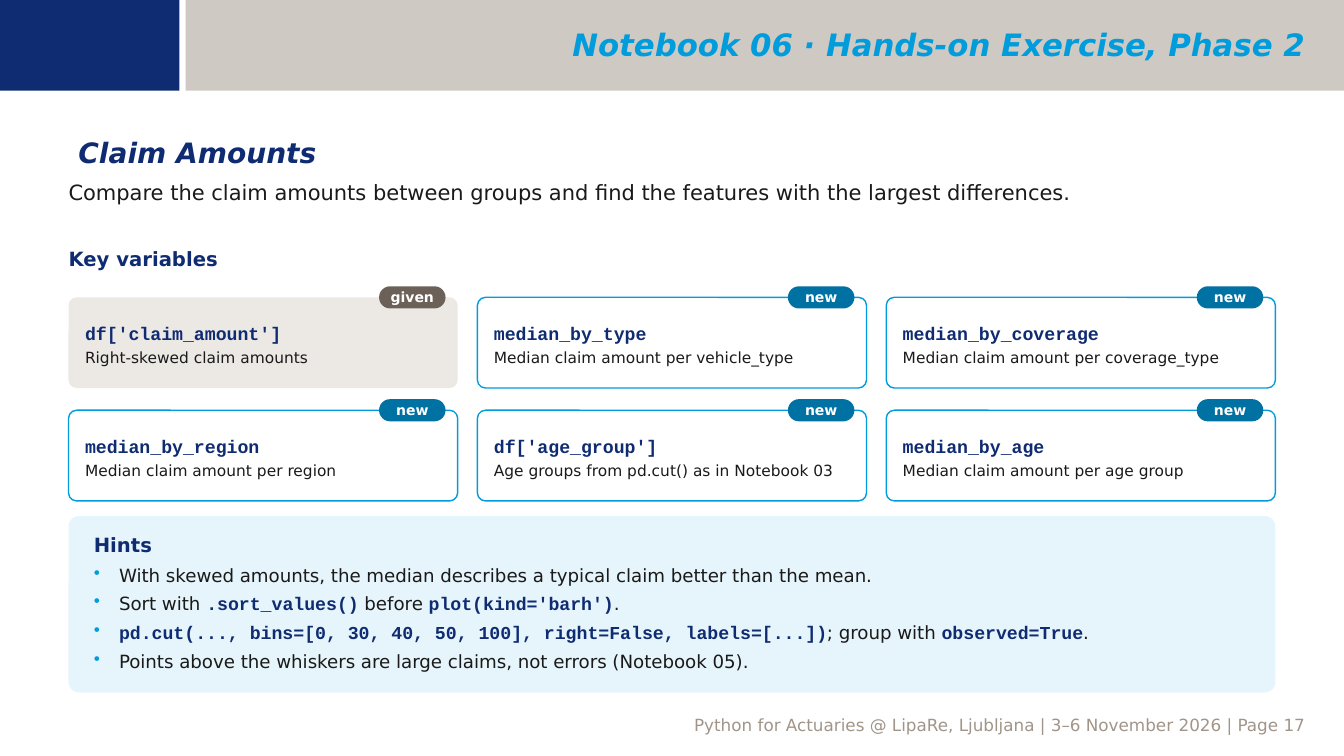
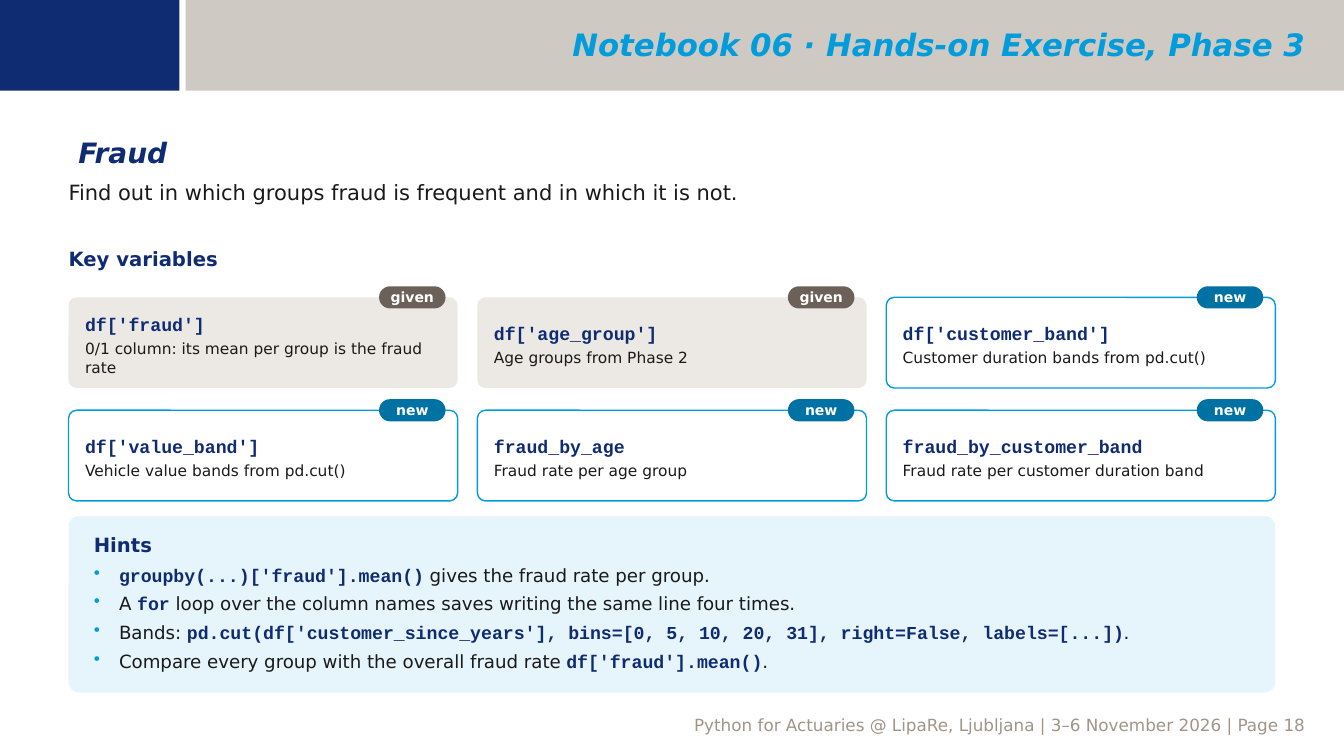
from lxml.etree import SubElement
from pptx import Presentation
from pptx.dml.color import RGBColor
from pptx.enum.shapes import MSO_SHAPE as Shape
from pptx.enum.text import MSO_ANCHOR as Anchor, PP_ALIGN as Align
from pptx.oxml.ns import qn
from pptx.util import Inches, Pt

SANS, MONO = "DejaVu Sans", "Courier New"
NAVY, CORNER, CYAN, TEAL = "0F2B72", "0F2C73", "009CDB", "0071A3"
INK, STONE, BROWN, SAND = "1A1A1A", "A19589", "6B6158", "ECE9E5"
ICE, WHITE = "E6F5FB", "FFFFFF"

LEFT, WIDTH = 0.68, 11.97
COLUMNS, CARD_WIDTH, CARD_HEIGHT = 3, 3.86, 0.9
CARD_TOP, ROW_STEP = 2.95, 1.12
COLUMN_STEP = (WIDTH - CARD_WIDTH) / (COLUMNS - 1)
BADGE_WIDTH, BADGE_HEIGHT, BADGE_INSET = 0.66, 0.22, 0.12
FOOTER = "Python for Actuaries @ LipaRe, Ljubljana | 3–6 November 2026 | Page {}"


def color(value):
    return RGBColor.from_string(value)


def add_text(paragraph, text, size=13, font=SANS, fill=INK, bold=False,
             italic=False, align=None, before=None):
    """Append a run to the paragraph and format both."""
    run = paragraph.add_run()
    run.text = text
    run.font.name, run.font.size = font, Pt(size)
    run.font.bold, run.font.italic = bold, italic
    run.font.color.rgb = color(fill)
    if align is not None:
        paragraph.alignment = align
    if before is not None:
        paragraph.space_before = Pt(before)


def add_bullet(paragraph, fill=CYAN, indent=0.25):
    properties = paragraph._p.get_or_add_pPr()
    properties.set("marL", str(Inches(indent)))
    properties.set("indent", str(Inches(-indent)))
    bullet_color = SubElement(properties, qn("a:buClr"))
    SubElement(bullet_color, qn("a:srgbClr"), val=fill)
    SubElement(properties, qn("a:buChar"), char="•")


class Deck:
    def __init__(self):
        self.presentation = Presentation()
        self.presentation.slide_width = Inches(13.33)
        self.presentation.slide_height = Inches(7.5)
        self.slide = None

    def new_slide(self, title, page):
        layout = self.presentation.slide_layouts[6]
        self.slide = self.presentation.slides.add_slide(layout)
        # Footer and header bands
        self.text((0.76, 7.05, 12.29, 0.09), FOOTER.format(page), insets=None,
                  size=12, fill=STONE, align=Align.RIGHT)
        band = self.shape((1.84, 0, 11.49, 0.9), STONE)
        band_color = band.fill._xPr.find(qn("a:solidFill"))[0]
        SubElement(band_color, qn("a:alpha"), val="50000")
        self.shape((0, 0, 1.78, 0.9), CORNER)
        # Title
        self.text((2.02, 0.02, 11.02, 0.84), title, insets=None,
                  anchor=Anchor.MIDDLE, size=22, fill=CYAN, bold=True,
                  italic=True, align=Align.RIGHT)

    def frame(self, shape, insets=(0, 0, 0, 0), anchor=Anchor.TOP):
        """Prepare a text frame; insets of None keep the usual margins."""
        frame = shape.text_frame
        frame.word_wrap = True
        frame.vertical_anchor = anchor
        if insets is not None:
            (frame.margin_left, frame.margin_top, frame.margin_right,
             frame.margin_bottom) = map(Inches, insets)
        frame.paragraphs[0].alignment = Align.LEFT
        return frame

    def text(self, box, text, insets=(0, 0, 0, 0), anchor=Anchor.TOP, **style):
        shape = self.slide.shapes.add_textbox(*map(Inches, box))
        frame = self.frame(shape, insets, anchor)
        add_text(frame.paragraphs[0], text, **style)

    def shape(self, box, fill, line=None, corner=None):
        kind = Shape.RECTANGLE if corner is None else Shape.ROUNDED_RECTANGLE
        shape = self.slide.shapes.add_shape(kind, *map(Inches, box))
        if corner is not None:
            shape.adjustments[0] = corner
        shape.shadow.inherit = False
        shape.fill.solid()
        shape.fill.fore_color.rgb = color(fill)
        if line:
            shape.line.color.rgb = color(line)
            shape.line.width = Pt(1)
        else:
            shape.line.fill.background()
        return shape

    def card(self, left, top, name, description, given):
        card = self.shape((left, top, CARD_WIDTH, CARD_HEIGHT),
                          SAND if given else WHITE,
                          line=None if given else CYAN, corner=0.09)
        frame = self.frame(card, (0.14, 0.1, 0.14, 0.06), Anchor.MIDDLE)
        add_text(frame.paragraphs[0], name, font=MONO, fill=NAVY, bold=True)
        paragraph = frame.add_paragraph()
        add_text(paragraph, description, size=11, align=Align.LEFT, before=3)
        # Badge on the top edge
        badge_left = left + CARD_WIDTH - BADGE_INSET - BADGE_WIDTH
        badge = self.shape((badge_left, top - BADGE_HEIGHT / 2,
                            BADGE_WIDTH, BADGE_HEIGHT),
                           BROWN if given else TEAL, corner=0.5)
        frame = self.frame(badge, anchor=Anchor.MIDDLE)
        add_text(frame.paragraphs[0], "given" if given else "new", size=10,
                 fill=WHITE, bold=True, align=Align.CENTER)

    def cards(self, variables, given_count):
        for index, (name, description) in enumerate(variables):
            row, column = divmod(index, COLUMNS)
            self.card(LEFT + column * COLUMN_STEP, CARD_TOP + row * ROW_STEP,
                      name, description, given=index < given_count)

    def hints(self, lines):
        """Draw the hints panel; backticks in a line enclose code."""
        panel = self.shape((LEFT, 5.12, WIDTH, 1.75), ICE, corner=0.06)
        frame = self.frame(panel, (0.22, 0.14, 0.22, 0.1))
        add_text(frame.paragraphs[0], "Hints", size=14, fill=NAVY, bold=True)
        for line in lines:
            paragraph = frame.add_paragraph()
            paragraph.alignment = Align.LEFT
            paragraph.space_before = Pt(5)
            add_bullet(paragraph)
            for index, part in enumerate(line.split("`")):
                if not part:
                    continue
                if index % 2:
                    add_text(paragraph, part, font=MONO, fill=NAVY, bold=True)
                else:
                    add_text(paragraph, part)

    def exercise(self, phase, page, topic, task, variables, given_count, hints):
        self.new_slide(f"Notebook 06 · Hands-on Exercise, Phase {phase}", page)
        self.text((LEFT, 1.3, WIDTH, 0.4), topic, insets=None,
                  size=20, fill=NAVY, bold=True, italic=True)
        self.text((LEFT, 1.78, WIDTH, 0.62), task, size=15)
        self.text((LEFT, 2.45, 6, 0.32), "Key variables",
                  size=14, fill=NAVY, bold=True)
        self.cards(variables, given_count)
        self.hints(hints)


def main():
    deck = Deck()

    # Phase 2: claim amounts
    deck.exercise(
        phase=2, page=17, topic="Claim Amounts",
        task="Compare the claim amounts between groups and find the features "
             "with the largest differences.",
        variables=[
            ("df['claim_amount']", "Right-skewed claim amounts"),
            ("median_by_type", "Median claim amount per vehicle_type"),
            ("median_by_coverage", "Median claim amount per coverage_type"),
            ("median_by_region", "Median claim amount per region"),
            ("df['age_group']", "Age groups from pd.cut() as in Notebook 03"),
            ("median_by_age", "Median claim amount per age group"),
        ],
        given_count=1,
        hints=[
            "With skewed amounts, the median describes a typical claim better "
            "than the mean.",
            "Sort with `.sort_values()` before `plot(kind='barh')`.",
            "`pd.cut(..., bins=[0, 30, 40, 50, 100], right=False, "
            "labels=[...])`; group with `observed=True`.",
            "Points above the whiskers are large claims, not errors "
            "(Notebook 05).",
        ])

    # Phase 3: fraud
    deck.exercise(
        phase=3, page=18, topic="Fraud",
        task="Find out in which groups fraud is frequent and in which it is not.",
        variables=[
            ("df['fraud']", "0/1 column: its mean per group is the fraud rate"),
            ("df['age_group']", "Age groups from Phase 2"),
            ("df['customer_band']", "Customer duration bands from pd.cut()"),
            ("df['value_band']", "Vehicle value bands from pd.cut()"),
            ("fraud_by_age", "Fraud rate per age group"),
            ("fraud_by_customer_band", "Fraud rate per customer duration band"),
        ],
        given_count=2,
        hints=[
            "`groupby(...)['fraud'].mean()` gives the fraud rate per group.",
            "A `for` loop over the column names saves writing the same line "
            "four times.",
            "Bands: `pd.cut(df['customer_since_years'], "
            "bins=[0, 5, 10, 20, 31], right=False, labels=[...])`.",
            "Compare every group with the overall fraud rate "
            "`df['fraud'].mean()`.",
        ])

    deck.presentation.save("out.pptx")


if __name__ == "__main__":
    main()
